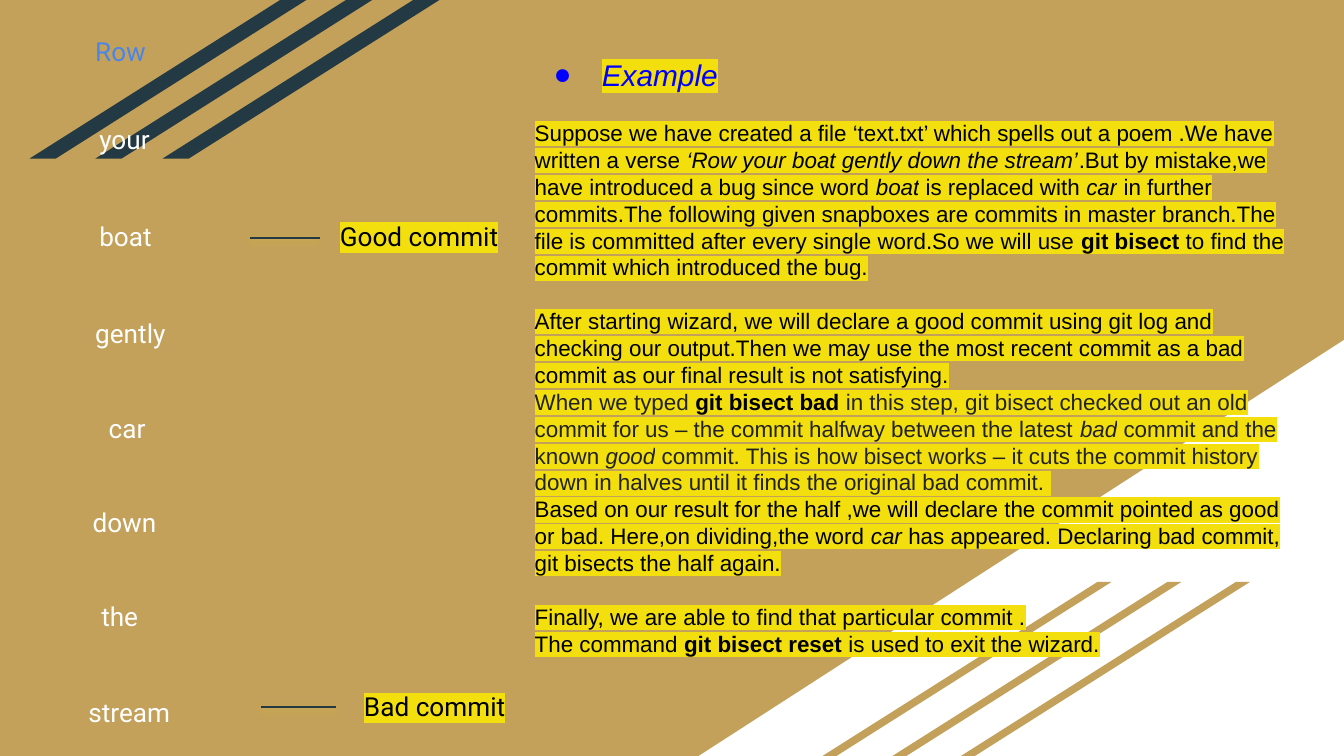
from lxml import etree
from pptx import Presentation, util as u
from pptx.dml.color import RGBColor
from pptx.enum import shapes, text
from pptx.oxml import ns

# The slide is a grid of 100 columns by 56.25 rows
CELL = u.Inches(0.1)
COLUMNS, ROWS = 100, 56.25

TAN, NAVY, WHITE, BLACK = "C4A15A", "233A44", "FFFFFF", "000000"
YELLOW, BLUE, SKY, GREY = "F2DF0D", "0000FF", "4A86E8", "222222"
BODY_LINE, HEADING_LINE = u.Pt(14.4), u.Pt(19.2)

# word, left column, top row, columns wide, color
POEM = [("Row", 6.1, 1.6, 5.9, SKY), ("your", 6.4, 8.2, 5.9, WHITE),
        ("boat", 6.4, 15.4, 5.9, WHITE), ("gently", 6.1, 22.6, 12.5, WHITE),
        ("car", 7.1, 29.7, 6.9, WHITE), ("down", 5.9, 36.7, 6.9, WHITE),
        ("the", 6.55, 43.7, 6.9, WHITE), ("stream", 5.6, 50.8, 8.4, WHITE)]

# Paragraphs as (blank line before, runs); a run is (wording, style):
# i italic, b bold, g grey
EXPLANATION = [
    (True, [
        ("Suppose we have created a file ‘text.txt’ which spells out a poem "
         ".We have written a verse", ""),
        (" ‘Row your boat gently down the stream’", "i"),
        (".But by mistake,we have introduced a bug since word ", ""),
        ("boat", "i"), (" is replaced with ", ""), ("car", "i"),
        (" in further commits.The following given snapboxes are commits in "
         "master branch.The file is committed after every single word.So we "
         "will use ", ""),
        ("git bisect ", "b"),
        ("to find the commit which introduced the bug.", "")]),
    (True, [
        ("After starting wizard, we will declare a good commit using git log "
         "and checking our output.Then we may use the most recent commit as a "
         "bad commit as our final result is not satisfying.", "")]),
    (False, [
        ("When we typed ", "g"), ("git bisect bad", "b"),
        (" in this step, git bisect checked out an old commit for us – the "
         "commit halfway between the latest ", "g"),
        ("bad", "gi"), (" commit and the known ", "g"), ("good", "gi"),
        (" commit. This is how bisect works – it cuts the commit history down "
         "in halves until it finds the original bad commit. ", "g")]),
    (False, [
        ("Based on our result for the half ,we will declare the commit pointed "
         "as good or bad. Here,on dividing,the word ", ""),
        ("car ", "i"), ("has appeared. Declaring bad commit,", "")]),
    (False, [("git bisects the half again.", "")]),
    (True, [("Finally, we are able to find that particular commit .", "")]),
    (False, [("The command ", ""), ("git bisect reset ", "b"),
             ("is used to exit the wizard.", "")]),
]


def grid(*cells):
    return [u.Emu(round(cell * CELL)) for cell in cells]


def paint(color_format, hex_code):
    color_format.rgb = RGBColor.from_string(hex_code)


def add_child(parent, tag, **attributes):
    return etree.SubElement(parent, ns.qn(tag), attributes)


def add_solid(owner, kind, place, color):
    solid = owner.add_shape(kind, *grid(*place))
    solid.shadow.inherit = False
    solid.fill.solid()
    paint(solid.fill.fore_color, color)
    solid.line.fill.background()
    return solid


def add_stripes(slide, lefts, top, width, height, color):
    stripes = slide.shapes.add_group_shape().shapes
    for left in lefts:
        stripe = add_solid(stripes, shapes.MSO_SHAPE.PARALLELOGRAM,
                           (left, top, width, height), color)
        stripe.adjustments[0] = 1.58


def style_run(run, size, font_name, color, highlight=None):
    run.font.size = u.Pt(size)
    run.font.name = font_name
    paint(run.font.color, color)
    if highlight:
        mark = etree.Element(ns.qn("a:highlight"))
        add_child(mark, "a:srgbClr", val=highlight)
        run.font._element.find(ns.qn("a:solidFill")).addnext(mark)


def add_frame(slide, *place):
    frame = slide.shapes.add_textbox(*grid(*place)).text_frame
    frame.word_wrap = True
    frame.auto_size = text.MSO_AUTO_SIZE.SHAPE_TO_FIT_TEXT
    frame.margin_left, frame.margin_top, frame.margin_right, \
        frame.margin_bottom = grid(1, 1, 1, 1)
    return frame


def add_label(slide, wording, left, top, width, color, highlight=None):
    frame = add_frame(slide, left, top, width, 4.4)
    frame.text = wording
    style_run(frame.paragraphs[0].runs[0], 14, "Roboto", color, highlight)


def add_pointer(slide, start, end, row):
    pointer = slide.shapes.add_connector(
        shapes.MSO_CONNECTOR.STRAIGHT, *grid(start, row, end, row))
    pointer.line.width = u.Pt(0.75)
    paint(pointer.line.color, NAVY)
    effects = add_child(pointer._element.spPr, "a:effectLst")
    glow = add_child(effects, "a:outerShdw", blurRad=str(u.Pt(4.5)),
                     dist=str(u.Pt(1.5)), dir="5400000", rotWithShape="0")
    tint = add_child(glow, "a:srgbClr", val=YELLOW)
    add_child(tint, "a:alpha", val="50000")


def add_explanation(slide):
    frame = add_frame(slide, 38.8, 3.2, 58.1, 47.1)

    # Bulleted heading
    heading = frame.paragraphs[0]
    heading.text = "Example"
    heading.line_spacing = HEADING_LINE
    properties = heading._p.get_or_add_pPr()
    properties.set("marL", str(u.Inches(0.5)))
    properties.set("indent", str(u.Inches(-0.36)))
    add_child(add_child(properties, "a:buClr"), "a:srgbClr", val=BLUE)
    add_child(properties, "a:buFont", typeface="Arial")
    add_child(properties, "a:buChar", char="●")
    style_run(heading.runs[0], 16, "Arial", BLUE, YELLOW)
    heading.runs[0].font.italic = True

    # Body
    for gap_before, runs in EXPLANATION:
        paragraph = frame.add_paragraph()
        paragraph.line_spacing = BODY_LINE
        paragraph.space_before = BODY_LINE if gap_before else u.Pt(0)
        for wording, style in runs:
            run = paragraph.add_run()
            run.text = wording
            style_run(run, 12, "Arial", GREY if "g" in style else BLACK, YELLOW)
            run.font.italic = "i" in style
            run.font.bold = "b" in style


def main():
    deck = Presentation()
    deck.slide_width, deck.slide_height = grid(COLUMNS, ROWS)
    slide = deck.slides.add_slide(deck.slide_layouts[6])

    # Backdrop
    slide.background.fill.solid()
    paint(slide.background.fill.fore_color, TAN)
    corner = add_solid(slide.shapes, shapes.MSO_SHAPE.RIGHT_TRIANGLE,
                       (52, 25.3, 48, 30.95), WHITE)
    corner._element.spPr.find(ns.qn("a:xfrm")).set("flipH", "1")
    add_stripes(slide, (71.5, 66.4, 61.2), 43.3, 21.5, 12.95, TAN)
    add_stripes(slide, (12.1, 7.1, 2.2), 0, 20.6, 11.8, NAVY)

    # One commit per word of the poem
    for word, left, top, width, color in POEM:
        add_label(slide, word, left, top, width, color)

    # Verdicts on the commits
    add_pointer(slide, 18.6, 23.8, 17.7)
    add_label(slide, "Good commit", 24.3, 15.4, 14.1, BLACK, YELLOW)
    add_pointer(slide, 19.4, 25, 52.6)
    add_label(slide, "Bad commit", 26.1, 50.4, 23.9, BLACK, YELLOW)

    add_explanation(slide)
    deck.save("out.pptx")


if __name__ == "__main__":
    main()
